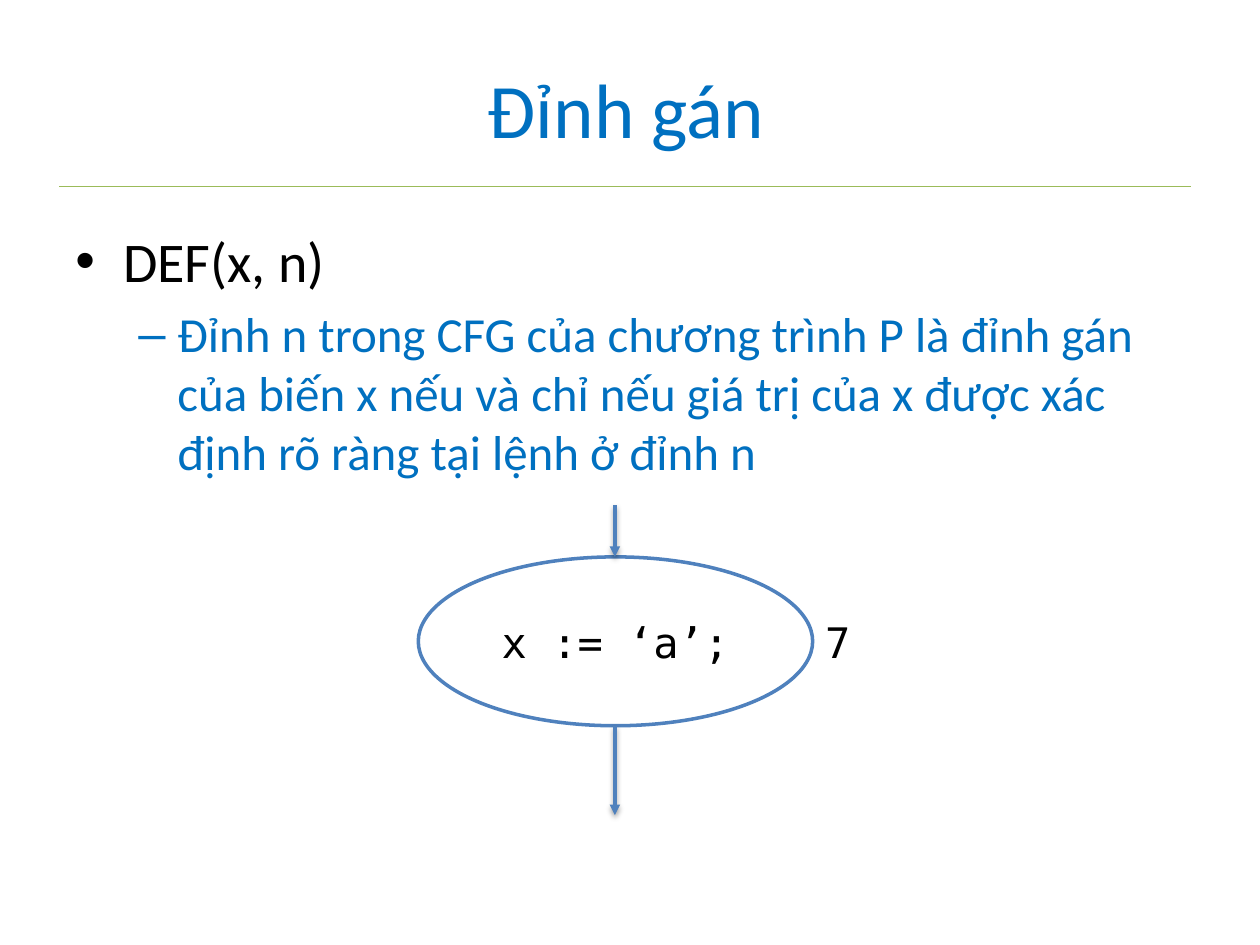
"""Build the slide on assignment nodes in a control flow graph."""
from dataclasses import dataclass

import lxml.etree
import pptx
import pptx.dml.color
import pptx.enum.shapes
import pptx.enum.text
import pptx.oxml.ns
import pptx.util

Inches = pptx.util.Inches
Pt = pptx.util.Pt
Align = pptx.enum.text.PP_ALIGN
Anchor = pptx.enum.text.MSO_ANCHOR
qn = pptx.oxml.ns.qn


@dataclass(frozen=True)
class Theme:
    blue: str = "0070C0"
    black: str = "000000"
    white: str = "FFFFFF"
    edge: str = "4F81BD"
    green: str = "9BBB59"
    sans: str = "Calibri"
    mono: str = "DejaVu Sans Mono"
    title: int = 44
    head: int = 32
    body: int = 28
    code: int = 24


theme = Theme()
rgb = pptx.dml.color.RGBColor.from_string


def write(par, text, size, color, face, align=Align.LEFT):
    par.text = text
    par.alignment = align
    par.font.size = Pt(size)
    par.font.name = face
    par.font.color.rgb = rgb(color)


def draw(shapes, start, end, color, width):
    kind = pptx.enum.shapes.MSO_CONNECTOR.STRAIGHT
    line = shapes.add_connector(kind, *map(Inches, start + end))
    line.line.color.rgb = rgb(color)
    line.line.width = Pt(width)
    return line


deck = pptx.Presentation()
deck.slide_width, deck.slide_height = Inches(10), Inches(7.5)
shapes = deck.slides.add_slide(deck.slide_layouts[6]).shapes

rule = draw(shapes, (0.47, 1.48), (9.45, 1.48), theme.green, 0.75)
lxml.etree.SubElement(rule._element.spPr, qn("a:effectLst"))

title = shapes.add_textbox(Inches(0.47), Inches(0.23), Inches(9), Inches(1.25)).text_frame
title.word_wrap = True
title.vertical_anchor = Anchor.MIDDLE
write(title.paragraphs[0], "Đỉnh gán", theme.title, theme.blue, theme.sans, Align.CENTER)

body = shapes.add_textbox(Inches(0.5), Inches(1.75), Inches(9), Inches(4.95)).text_frame
body.word_wrap = True
items = [
    ("DEF(x, n)", "•", 0.38, 0.38, theme.head, theme.black),
    ("Đỉnh n trong CFG của chương trình P là đỉnh gán của biến x nếu và chỉ nếu "
     "giá trị của x được xác định rõ ràng tại lệnh ở đỉnh n",
     "–", 0.81, 0.31, theme.body, theme.blue),
]
for level, (text, mark, left, hang, size, color) in enumerate(items):
    par = body.add_paragraph() if level else body.paragraphs[0]
    par.level = level
    props = par._p.get_or_add_pPr()
    props.set("marL", str(Inches(left)))
    props.set("indent", str(-Inches(hang)))
    tint = lxml.etree.SubElement(props, qn("a:buClr"))
    lxml.etree.SubElement(tint, qn("a:srgbClr"), val=color)
    lxml.etree.SubElement(props, qn("a:buFont"), typeface="Arial")
    lxml.etree.SubElement(props, qn("a:buChar"), char=mark)
    write(par, text, size, color, theme.sans)
    if level:
        par.space_before = Pt(5.6)

node = shapes.add_shape(pptx.enum.shapes.MSO_SHAPE.OVAL,
                        Inches(3.32), Inches(4.42), Inches(3.13), Inches(1.34))
node.shadow.inherit = False
node.fill.solid()
node.fill.fore_color.rgb = rgb(theme.white)
node.line.color.rgb = rgb(theme.edge)
node.line.width = Pt(2)
node.text_frame.vertical_anchor = Anchor.MIDDLE
write(node.text_frame.paragraphs[0], "x := ‘a’;", theme.code, theme.black,
      theme.mono, Align.CENTER)

label = shapes.add_textbox(Inches(6.45), Inches(4.84), Inches(0.68), Inches(0.5)).text_frame
label.word_wrap = True
label.auto_size = pptx.enum.text.MSO_AUTO_SIZE.SHAPE_TO_FIT_TEXT
write(label.paragraphs[0], "7", theme.code, theme.black, theme.mono)

for top, end in [(4.01, 4.42), (5.76, 6.47)]:
    arrow = draw(shapes, (4.88, top), (4.88, end), theme.edge, 2)
    lxml.etree.SubElement(arrow.line._get_or_add_ln(), qn("a:tailEnd"), type="triangle")

deck.save("out.pptx")
